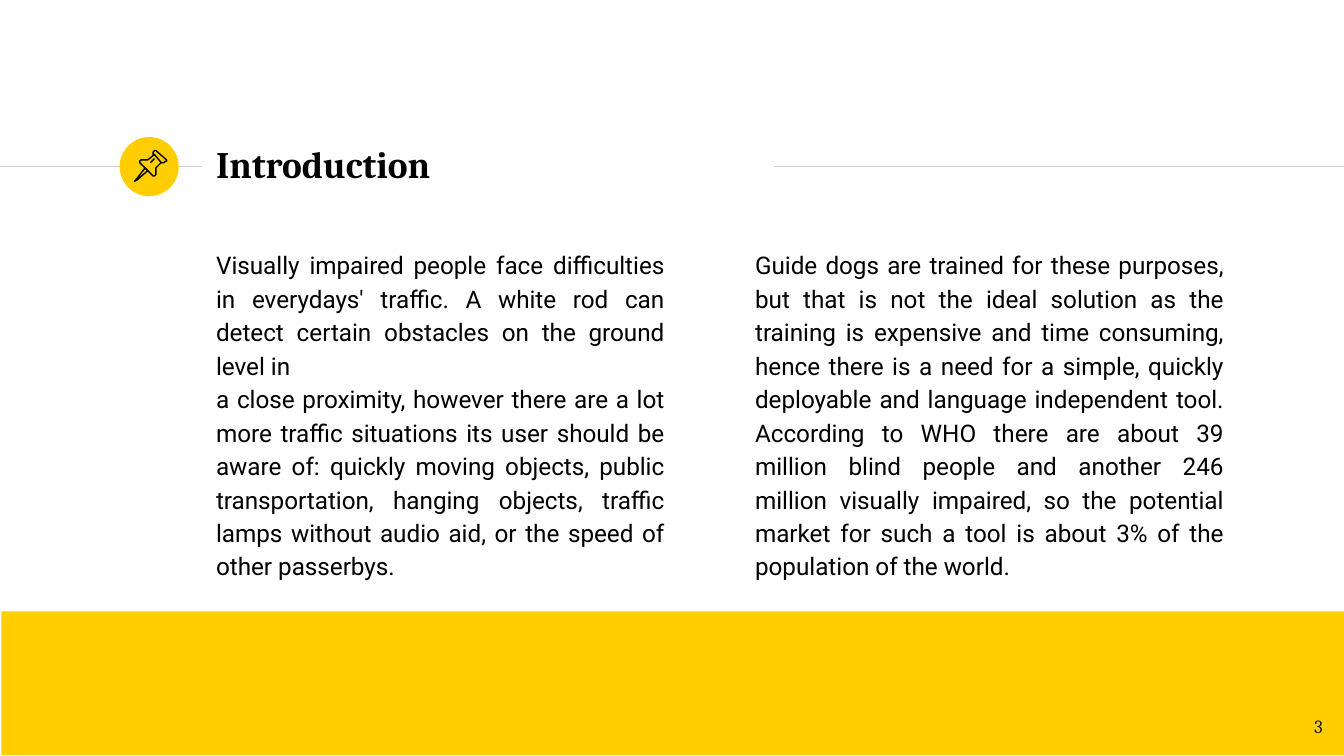
import pptx
import pptx.dml.color
import pptx.enum.shapes
import pptx.enum.text
import pptx.oxml.ns
import pptx.util
from lxml import etree
from pptx.util import Inches

YELLOW, GREY, BLACK = "FFCD00", "CCCCCC", "000000"
ALIGN = pptx.enum.text.PP_ALIGN
ANCHOR = pptx.enum.text.MSO_ANCHOR
SHAPE = pptx.enum.shapes.MSO_SHAPE

PIN_OUTLINES = [
    ([(19, 23), (12, 32), (11, 33), (13, 32), (21, 25)], True),
    ([(26, 13), (31, 19), (33, 19), (34, 18), (35, 18), (35, 17),
      (27, 10), (26, 10), (25, 11), (25, 13)], True),
    ([(26, 13), (21, 17), (18, 17), (16, 17), (15, 18), (15, 19),
      (25, 29), (26, 29), (27, 28), (27, 23), (31, 19)], False),
    ([(23, 19), (26, 16)], False),
]

LEFT_TEXT = [
    "Visually impaired people face difficulties in everydays' traffic. "
    "A white rod can detect certain obstacles on the ground level in",
    "a close proximity, however there are a lot more traffic situations its "
    "user should be aware of: quickly moving objects, public transportation, "
    "hanging objects, traffic lamps without audio aid, or the speed of other "
    "passerbys.",
]
RIGHT_TEXT = [
    "Guide dogs are trained for these purposes, but that is not the ideal "
    "solution as the training is expensive and time consuming, hence there is "
    "a need for a simple, quickly deployable and language independent tool. "
    "According to WHO there are about 39 million blind people and another 246 "
    "million visually impaired, so the potential market for such a tool is "
    "about 3% of the population of the world.",
]


def rgb(color):
    """Turn a hex string into a colour."""
    return pptx.dml.color.RGBColor.from_string(color)


def add_rule(s, x1, x2, y):
    """Draw a thin grey horizontal line."""
    line = s.shapes.add_connector(
        pptx.enum.shapes.MSO_CONNECTOR.STRAIGHT,
        Inches(x1), Inches(y), Inches(x2), Inches(y))
    line.line.color.rgb = rgb(GREY)
    line.line.width = pptx.util.Pt(0.75)
    etree.SubElement(line._element.spPr, pptx.oxml.ns.qn("a:effectLst"))


def add_block(s, kind, x, y, w, h):
    """Add a yellow shape without outline."""
    sp = s.shapes.add_shape(kind, Inches(x), Inches(y), Inches(w), Inches(h))
    sp.shadow.inherit = False
    sp.fill.solid()
    sp.fill.fore_color.rgb = rgb(YELLOW)
    sp.line.fill.background()


def add_text(s, x, y, w, h, paragraphs, font, size, color=BLACK, bold=False,
             align=ALIGN.LEFT, anchor=ANCHOR.TOP, spacing=1.0):
    """Add a wrapped text box with one uniform style."""
    tf = s.shapes.add_textbox(
        Inches(x), Inches(y), Inches(w), Inches(h)).text_frame
    tf.word_wrap = True
    tf.vertical_anchor = anchor
    tf.margin_left = tf.margin_right = Inches(0.1)
    tf.margin_top = tf.margin_bottom = Inches(0.1)
    tf.text = "\n".join(paragraphs)
    for p in tf.paragraphs:
        p.alignment = align
        p.line_spacing = spacing
        for r in p.runs:
            r.font.name = font
            r.font.size = pptx.util.Pt(size)
            r.font.bold = bold
            r.font.color.rgb = rgb(color)


def add_pin_badge(s, x, y, size):
    """Draw a yellow disc with an outlined push pin."""
    add_block(s, SHAPE.OVAL, x, y, size, size)
    for points, closed in PIN_OUTLINES:
        builder = s.shapes.build_freeform(*points[0], scale=Inches(0.01))
        builder.add_line_segments(points[1:], close=closed)
        sp = builder.convert_to_shape(Inches(x), Inches(y))
        sp.shadow.inherit = False
        sp.fill.background()
        sp.line.color.rgb = rgb(BLACK)
        sp.line.width = pptx.util.Pt(0.75)


def add_header(s, x, y, w, h, title):
    """Place the title between two rules, with the badge on the left one."""
    middle = y + 0.26
    add_rule(s, 0, x - 0.01, middle)
    add_rule(s, x + w + 0.01, 10, middle)
    add_pin_badge(s, x - 0.62, middle - 0.22, 0.44)
    add_text(s, x, y, w, h, [title], "Cambria", 20, bold=True,
             anchor=ANCHOR.MIDDLE)


def add_column(s, x, y, w, h, paragraphs):
    """Place a column of justified body text."""
    add_text(s, x, y, w, h, paragraphs, "Roboto", 13,
             align=ALIGN.JUSTIFY, spacing=1.15)


def add_footer(s, x, y, w, h, number):
    """Place the yellow band with the page number in its corner."""
    add_block(s, SHAPE.RECTANGLE, x, y, w, h)
    add_text(s, x + w - 0.67, y + h - 0.43, 0.6, 0.43, [number],
             "Cambria", 10, color="1D1D1B", align=ALIGN.RIGHT,
             anchor=ANCHOR.MIDDLE)


def main():
    """Build the slide and save it."""
    prs = pptx.Presentation()
    prs.slide_width = Inches(10)
    prs.slide_height = prs.slide_width * 9 // 16
    s = prs.slides.add_slide(prs.slide_layouts[6])
    add_header(s, 1.51, 0.98, 4.24, 0.48, "Introduction")
    add_column(s, 1.51, 1.73, 3.53, 2.41, LEFT_TEXT)
    add_column(s, 5.52, 1.73, 3.68, 2.41, RIGHT_TEXT)
    add_footer(s, 0.01, 4.55, 10, 1.07, "3")
    prs.save("out.pptx")


if __name__ == "__main__":
    main()
